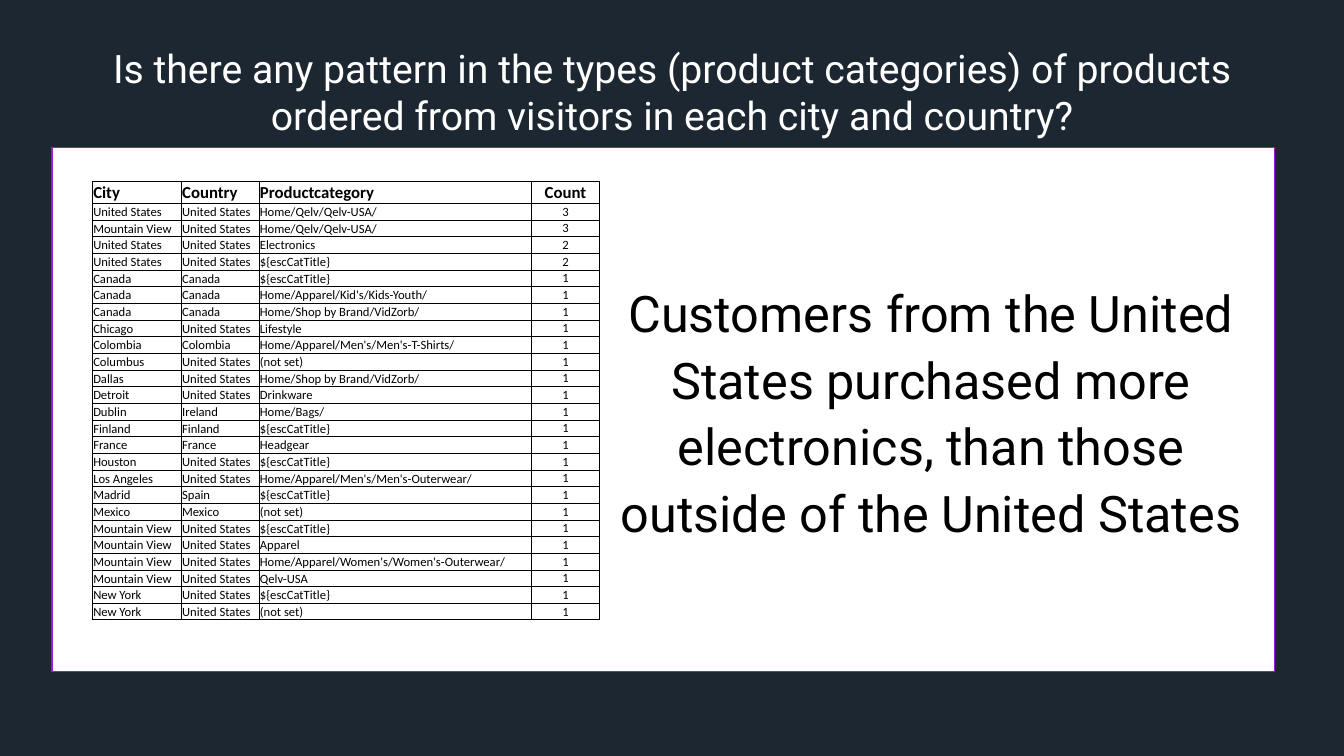
from dataclasses import dataclass

from lxml import etree
from pptx import Presentation
from pptx.dml.color import RGBColor
from pptx.enum.shapes import MSO_SHAPE
from pptx.enum.text import MSO_ANCHOR, PP_ALIGN
from pptx.oxml.ns import qn
from pptx.util import Cm, Pt

RECTANGLE = MSO_SHAPE.RECTANGLE
TOP, MIDDLE, BOTTOM = MSO_ANCHOR.TOP, MSO_ANCHOR.MIDDLE, MSO_ANCHOR.BOTTOM
LEFT, CENTER = PP_ALIGN.LEFT, PP_ALIGN.CENTER
TITLE_ONLY = 5


@dataclass(frozen=True)
class Theme:
    """Colours, fonts and type sizes of the slide."""
    background: str = "1C2732"
    panel: str = "FFFFFF"
    panel_edge: str = "A217D5"
    light: str = "FFFFFF"
    dark: str = "000000"
    text_font: str = "Roboto"
    table_font: str = "Calibri"
    title_size: int = 28
    message_size: int = 36
    header_size: int = 12
    cell_size: int = 9
    outer_line: float = 1
    inner_line: float = 0.5


THEME = Theme()
TITLE = ("Is there any pattern in the types (product categories) of products "
         "ordered from visitors in each city and country?")
MESSAGE = ("Customers from the United States purchased more electronics, "
           "than those outside of the United States")
HEADER = ("City", "Country", "Productcategory", "Count")
USA = "United States"
UNTITLED = "${escCatTitle}"
ORDERS = (
    (USA, USA, "Home/Qelv/Qelv-USA/", 3),
    ("Mountain View", USA, "Home/Qelv/Qelv-USA/", 3),
    (USA, USA, "Electronics", 2),
    (USA, USA, UNTITLED, 2),
    ("Canada", "Canada", UNTITLED, 1),
    ("Canada", "Canada", "Home/Apparel/Kid's/Kids-Youth/", 1),
    ("Canada", "Canada", "Home/Shop by Brand/VidZorb/", 1),
    ("Chicago", USA, "Lifestyle", 1),
    ("Colombia", "Colombia", "Home/Apparel/Men's/Men's-T-Shirts/", 1),
    ("Columbus", USA, "(not set)", 1),
    ("Dallas", USA, "Home/Shop by Brand/VidZorb/", 1),
    ("Detroit", USA, "Drinkware", 1),
    ("Dublin", "Ireland", "Home/Bags/", 1),
    ("Finland", "Finland", UNTITLED, 1),
    ("France", "France", "Headgear", 1),
    ("Houston", USA, UNTITLED, 1),
    ("Los Angeles", USA, "Home/Apparel/Men's/Men's-Outerwear/", 1),
    ("Madrid", "Spain", UNTITLED, 1),
    ("Mexico", "Mexico", "(not set)", 1),
    ("Mountain View", USA, UNTITLED, 1),
    ("Mountain View", USA, "Apparel", 1),
    ("Mountain View", USA, "Home/Apparel/Women's/Women's-Outerwear/", 1),
    ("Mountain View", USA, "Qelv-USA", 1),
    ("New York", USA, UNTITLED, 1),
    ("New York", USA, "(not set)", 1),
)
COLUMN_WIDTHS = (2.24, 1.96, 6.86, 1.72)
HEADER_HEIGHT, ROW_HEIGHT = 0.54, 0.42


def rgb(code):
    """Turn a hex code into a colour."""
    return RGBColor.from_string(code)


def write(para, text, font, size, color, align, bold=False):
    """Add one formatted run to an aligned paragraph."""
    para.alignment = align
    span = para.add_run()
    span.text = text
    span.font.name = font
    span.font.size = Pt(size)
    span.font.bold = bold
    span.font.color.rgb = rgb(color)


def place(box, left, top, width, height):
    """Move and size a shape, in centimetres."""
    box.left, box.top, box.width, box.height = map(Cm, (left, top, width, height))


def prepare_frame(frame, anchor):
    """Make a text frame wrap, without margins."""
    frame.word_wrap = True
    frame.vertical_anchor = anchor
    frame.margin_left = frame.margin_right = Cm(0)
    frame.margin_top = frame.margin_bottom = Cm(0)


def add_title(page):
    """Fill the title placeholder."""
    box = page.shapes.title
    place(box, 1.53, 1.12, 30.81, 3.71)
    prepare_frame(box.text_frame, TOP)
    para = box.text_frame.paragraphs[0]
    para.line_spacing = 1.0
    write(para, TITLE, THEME.text_font, THEME.title_size, THEME.light, CENTER)


def add_panel(page):
    """Draw the white panel behind the content."""
    panel = page.shapes.add_shape(RECTANGLE, Cm(1.31), Cm(3.72), Cm(30.81), Cm(13.2))
    panel.shadow.inherit = False
    panel.fill.solid()
    panel.fill.fore_color.rgb = rgb(THEME.panel)
    panel.line.color.rgb = rgb(THEME.panel_edge)
    panel.line.width = Pt(1)


def add_message(page):
    """Add the conclusion beside the table."""
    box = page.shapes.add_textbox(Cm(15.39), Cm(6.81), Cm(16.15), Cm(7.01))
    prepare_frame(box.text_frame, MIDDLE)
    para = box.text_frame.paragraphs[0]
    para.line_spacing = 1.1
    para.space_before, para.space_after = Pt(10), Pt(8)
    write(para, MESSAGE, THEME.text_font, THEME.message_size, THEME.dark, CENTER)


def set_borders(cell, outer_sides):
    """Line all four sides of a cell, thicker on the outer ones."""
    properties = cell._tc.get_or_add_tcPr()
    for position, side in enumerate("LRTB"):
        points = THEME.outer_line if side in outer_sides else THEME.inner_line
        line = etree.Element(qn(f"a:ln{side}"), w=str(Pt(points)))
        fill = etree.SubElement(line, qn("a:solidFill"))
        etree.SubElement(fill, qn("a:srgbClr"), val=THEME.dark)
        properties.insert(position, line)


def fill_cell(cell, text, is_header, is_count):
    """Write and format one table cell."""
    cell.fill.background()
    cell.margin_left = cell.margin_right = cell.margin_top = Cm(0.02)
    cell.margin_bottom = Cm(0)
    cell.vertical_anchor = MIDDLE if is_count else BOTTOM
    size = THEME.header_size if is_header else THEME.cell_size
    write(cell.text_frame.paragraphs[0], text, THEME.table_font, size,
          THEME.dark, CENTER if is_count else LEFT, is_header)


def add_orders_table(page):
    """Build the table of orders by city and category."""
    rows = (HEADER, *ORDERS)
    last_row, last_column = len(rows) - 1, len(HEADER) - 1
    height = HEADER_HEIGHT + ROW_HEIGHT * len(ORDERS)
    table = page.shapes.add_table(len(rows), len(HEADER), Cm(2.33), Cm(4.58),
                                  Cm(sum(COLUMN_WIDTHS)), Cm(height)).table
    table.horz_banding = False
    for column, width in zip(table.columns, COLUMN_WIDTHS):
        column.width = Cm(width)
    for r, values in enumerate(rows):
        table.rows[r].height = Cm(ROW_HEIGHT if r else HEADER_HEIGHT)
        for c, value in enumerate(values):
            cell = table.cell(r, c)
            fill_cell(cell, str(value), r == 0, c == last_column)
            edges = {"L": c == 0, "R": c == last_column,
                     "T": r == 0, "B": r == last_row}
            set_borders(cell, [side for side, outer in edges.items() if outer])


def main():
    """Build the slide and save it."""
    deck = Presentation()
    deck.slide_width, deck.slide_height = Cm(33.87), Cm(19.05)
    page = deck.slides.add_slide(deck.slide_layouts[TITLE_ONLY])
    page.background.fill.solid()
    page.background.fill.fore_color.rgb = rgb(THEME.background)
    add_panel(page)
    add_title(page)
    add_message(page)
    add_orders_table(page)
    deck.save("out.pptx")


if __name__ == "__main__":
    main()
